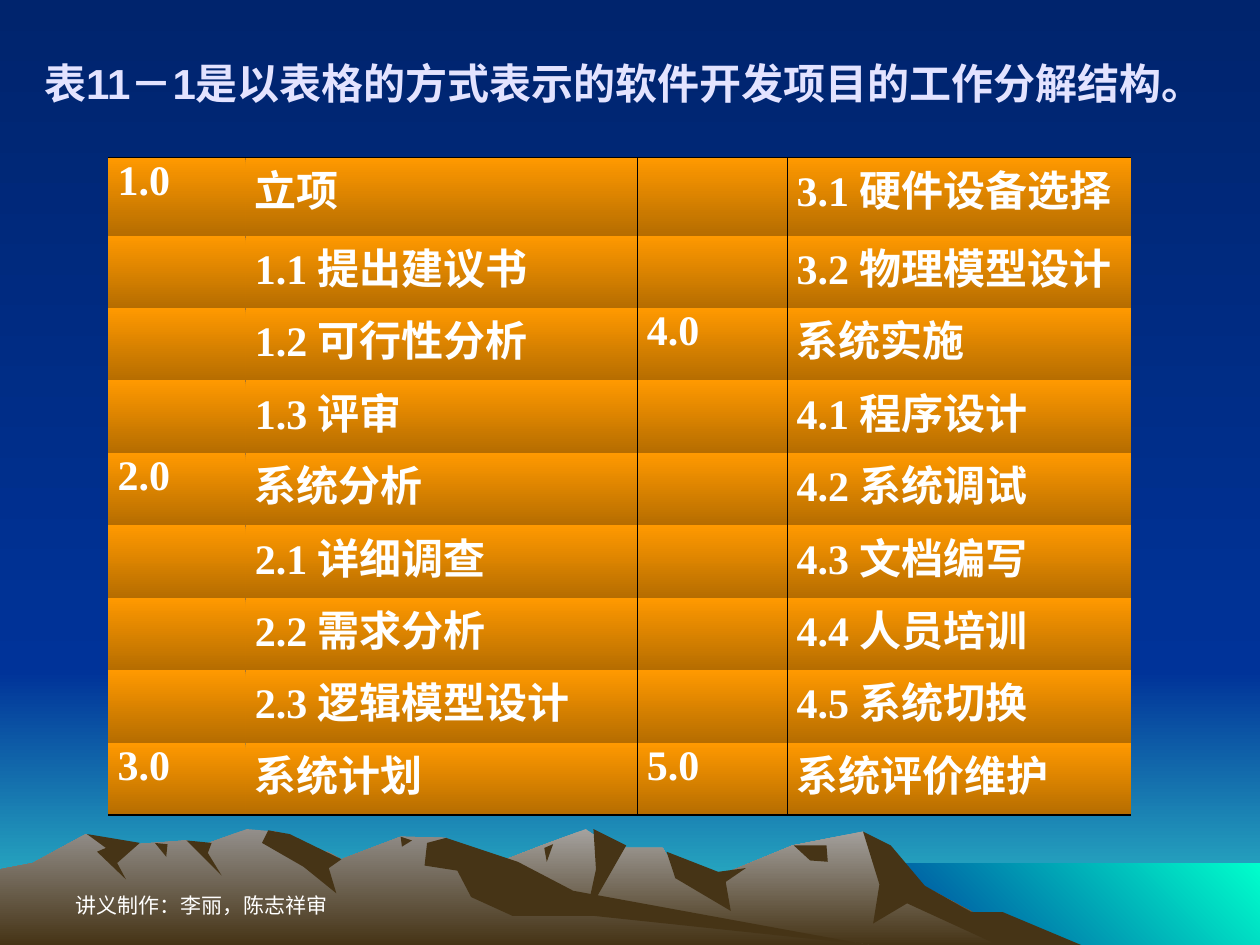
from dataclasses import dataclass
from typing import Optional

from lxml import etree
from pptx import Presentation
from pptx.dml.color import RGBColor
from pptx.dml.fill import FillFormat
from pptx.enum.text import MSO_ANCHOR, MSO_AUTO_SIZE, PP_ALIGN
from pptx.oxml.ns import qn
from pptx.slide import Slide
from pptx.table import _Cell
from pptx.text.text import TextFrame
from pptx.util import Cm, Pt

TOP, MIDDLE, BOTTOM = MSO_ANCHOR.TOP, MSO_ANCHOR.MIDDLE, MSO_ANCHOR.BOTTOM
LEFT, CENTER, JUSTIFY = PP_ALIGN.LEFT, PP_ALIGN.CENTER, PP_ALIGN.JUSTIFY
NO_AUTOFIT = MSO_AUTO_SIZE.NONE
NO_STYLE = "{2D5ABB26-0587-4C30-8999-92F81FD0307C}"
GRID = Cm(0.0254)
DOWN, UP_RIGHT = 270, 45
WIDTH, HORIZON, GROUND = 1000, 533, 750

Points = list[tuple[int, int]]


@dataclass(frozen=True)
class Theme:
    night: str = "00246D"
    blue: str = "003399"
    teal: str = "33CCCC"
    aqua: str = "00FFCC"
    rock: str = "463416"
    rock_light: str = "A5A29F"
    rock_mid: str = "938F8B"
    orange: str = "FF9900"
    brown: str = "B66D00"
    title: str = "E3E3FF"
    white: str = "FFFFFF"
    black: str = "000000"
    sans: str = "Arial"
    serif: str = "Times New Roman"
    large: int = 24
    small: int = 12


@dataclass(frozen=True)
class Paint:
    start: str
    end: Optional[str] = None
    angle: int = DOWN


@dataclass(frozen=True)
class Outline:
    paint: Paint
    points: Points


@dataclass(frozen=True)
class Style:
    size: int
    font: str
    color: str
    bold: bool
    align: PP_ALIGN


T = Theme()
SKY = Paint(T.night, T.blue)
CELL = Paint(T.orange, T.brown)
SHADE = Paint(T.rock)
TITLE = Style(T.large, T.sans, T.title, True, CENTER)
FOOTER = Style(T.small, T.sans, T.white, False, LEFT)
ENTRY = Style(T.large, T.serif, T.white, True, JUSTIFY)


def box(left: int, top: int, bottom: int) -> Points:
    return [(left, top), (WIDTH, top), (WIDTH, bottom), (left, bottom)]


RIGHT_RIDGE = [
    (258, GROUND), (327, 709), (394, 685), (430, 671), (465, 658), (486, 673), (526, 673),
    (536, 690), (566, 697), (629, 671), (685, 660), (723, 698), (821, GROUND)]
RIGHT_SHADES = [
    [(685, 660), (707, 671), (734, 703), (771, 724), (796, 724), (858, GROUND),
     (792, GROUND), (720, 717), (693, 733), (698, 702)],
    [(471, 658), (497, 671), (465, 727), (473, 690)],
    [(529, 676), (570, 692), (592, 689), (576, 700), (580, 723), (536, 697)],
    [(630, 671), (656, 671), (657, 684), (643, 683)],
    [(432, 673), (439, 670), (434, 684)],
]
LEFT_RIDGE = [
    (0, GROUND), (0, 690), (26, 685), (68, 662), (94, 671), (148, 667), (160, 671),
    (196, 658), (219, 660), (236, 681), (260, 676), (271, 682), (318, 664), (354, 665),
    (432, 712), (690, GROUND)]
LEFT_SHADES = [
    [(213, 659), (230, 662), (271, 682), (261, 689), (267, 709), (241, 688), (208, 669)],
    [(339, 669), (354, 665), (411, 684), (455, 707), (690, GROUND), (472, 727),
     (407, 727), (374, 712), (363, 691), (337, 687)],
    [(318, 664), (327, 667), (319, 672)],
    [(148, 667), (168, 669), (165, 677), (176, 695)],
    [(123, 669), (133, 670), (132, 680)],
    [(69, 662), (111, 669), (93, 685), (100, 698), (77, 676), (84, 673)],
]
SCENERY = [
    Outline(Paint(T.blue, T.teal), box(0, HORIZON, GROUND)),
    Outline(SKY, box(0, 0, HORIZON)),
    Outline(Paint(T.blue, T.aqua, UP_RIGHT), box(683, 685, GROUND)),
    Outline(Paint(T.rock_light, T.rock), RIGHT_RIDGE),
    *(Outline(SHADE, points) for points in RIGHT_SHADES),
    Outline(Paint(T.rock_mid, T.rock), LEFT_RIDGE),
    *(Outline(SHADE, points) for points in LEFT_SHADES),
]

ROWS = [
    ("1.0", "立项", "", "3.1 硬件设备选择"),
    ("", "1.1 提出建议书", "", "3.2 物理模型设计"),
    ("", "1.2 可行性分析", "4.0", "系统实施"),
    ("", "1.3 评审", "", "4.1 程序设计"),
    ("2.0", "系统分析", "", "4.2 系统调试"),
    ("", "2.1 详细调查", "", "4.3 文档编写"),
    ("", "2.2 需求分析", "", "4.4 人员培训"),
    ("", "2.3 逻辑模型设计", "", "4.5 系统切换"),
    ("3.0", "系统计划", "5.0", "系统评价维护"),
]
COL_WIDTHS = [2.77, 7.9, 3.02, 6.93]
ROW_HEIGHTS = [1.57] + [1.46] * (len(ROWS) - 1)


def apply_paint(fill: FillFormat, paint: Paint) -> None:
    if paint.end is None:
        fill.solid()
        fill.fore_color.rgb = RGBColor.from_string(paint.start)
        return
    fill.gradient()
    fill.gradient_angle = paint.angle
    for stop, color in zip(fill.gradient_stops, (paint.start, paint.end)):
        stop.color.rgb = RGBColor.from_string(color)


def write(tf: TextFrame, text: str, style: Style, anchor: MSO_ANCHOR) -> None:
    tf.text = text
    tf.word_wrap = True
    tf.vertical_anchor = anchor
    p = tf.paragraphs[0]
    p.alignment = style.align
    font = p.runs[0].font
    font.size, font.name, font.bold = Pt(style.size), style.font, style.bold
    font.color.rgb = RGBColor.from_string(style.color)


def draw_outline(s: Slide, outline: Outline) -> None:
    builder = s.shapes.build_freeform(*outline.points[0], scale=GRID)
    builder.add_line_segments(outline.points[1:], close=True)
    sp = builder.convert_to_shape()
    sp.shadow.inherit = False
    sp.line.fill.background()
    apply_paint(sp.fill, outline.paint)


def add_border(cell: _Cell, side: str) -> None:
    ln = etree.SubElement(cell._tc.get_or_add_tcPr(), qn(f"a:ln{side}"), w=str(Pt(1)))
    solid = etree.SubElement(ln, qn("a:solidFill"))
    etree.SubElement(solid, qn("a:srgbClr"), val=T.black)


def draw_table(s: Slide) -> None:
    frame = s.shapes.add_table(len(ROWS), len(COL_WIDTHS), Cm(2.18), Cm(3.18),
                               Cm(sum(COL_WIDTHS)), Cm(sum(ROW_HEIGHTS)))
    table = frame.table
    table.first_row = table.horz_banding = False
    table._tbl.tblPr.find(qn("a:tableStyleId")).text = NO_STYLE
    for col, width in zip(table.columns, COL_WIDTHS):
        col.width = Cm(width)
    for i, (row, height) in enumerate(zip(table.rows, ROW_HEIGHTS)):
        row.height = Cm(height)
        for j, (cell, text) in enumerate(zip(row.cells, ROWS[i])):
            edges = {"L": j == 2, "R": j == 1, "T": i == 0, "B": i == len(ROWS) - 1}
            for side, visible in edges.items():
                if visible:
                    add_border(cell, side)
            apply_paint(cell.fill, CELL)
            cell.margin_left = cell.margin_right = Cm(0.19)
            cell.margin_top = cell.margin_bottom = Cm(0)
            if text:
                write(cell.text_frame, text, ENTRY, TOP)


def main() -> None:
    prs = Presentation()
    prs.slide_width, prs.slide_height = Cm(25.4), Cm(19.05)
    s = prs.slides.add_slide(prs.slide_layouts[5])
    apply_paint(s.background.fill, SKY)
    for outline in SCENERY:
        draw_outline(s, outline)
    footer = s.shapes.add_textbox(Cm(1.27), Cm(17.35), Cm(5.92), Cm(1.27))
    write(footer.text_frame, "讲义制作：李丽，陈志祥审", FOOTER, BOTTOM)
    title = s.shapes.title
    s.shapes._spTree.append(title._element)
    title.left, title.top, title.width, title.height = Cm(0.58), Cm(0.76), Cm(24), Cm(1.83)
    write(title.text_frame, "表11－1是以表格的方式表示的软件开发项目的工作分解结构。", TITLE, MIDDLE)
    title.text_frame.auto_size = NO_AUTOFIT
    draw_table(s)
    prs.save("out.pptx")


if __name__ == "__main__":
    main()
